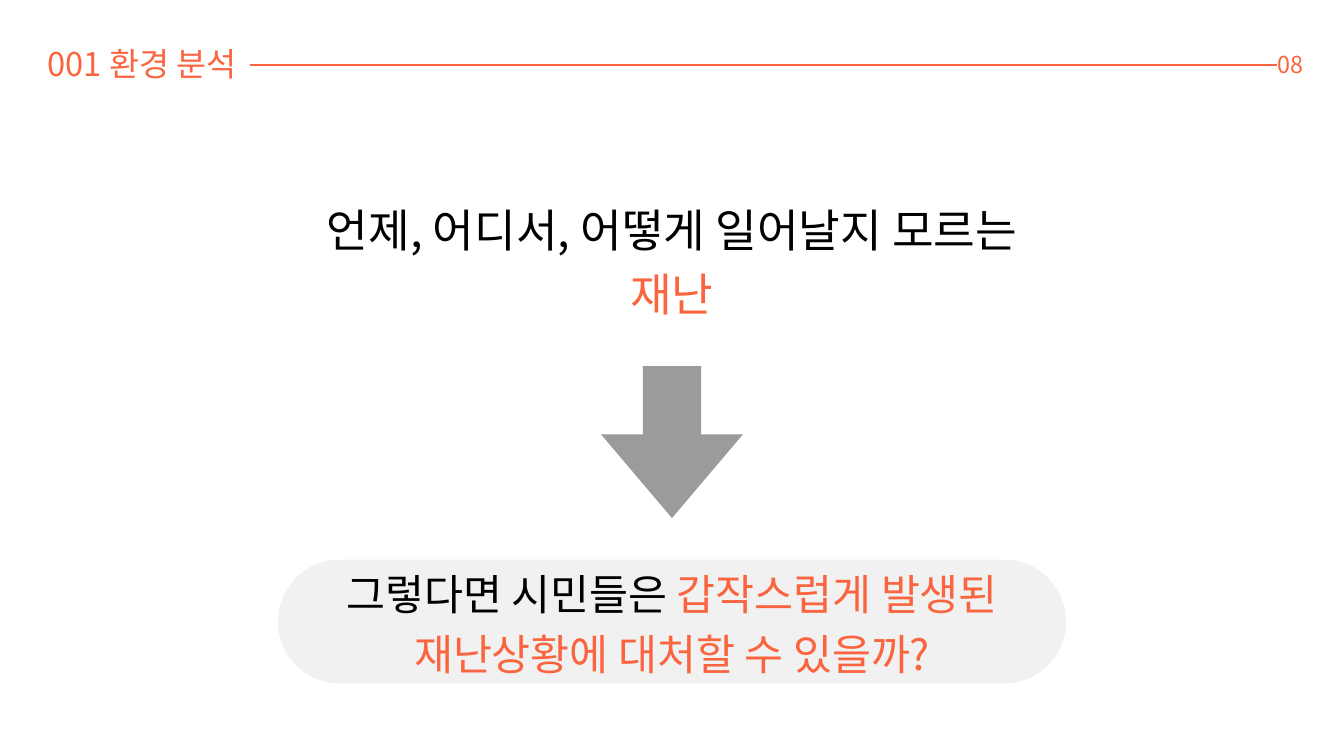
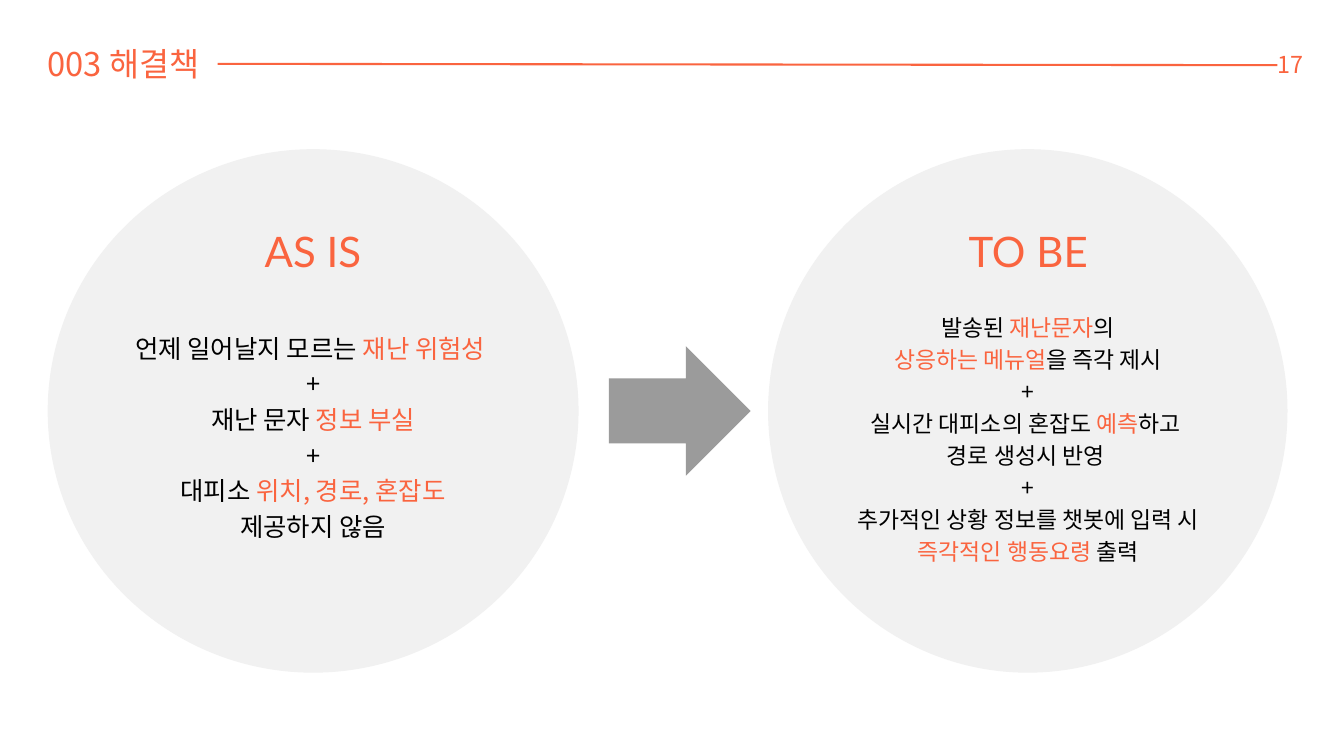
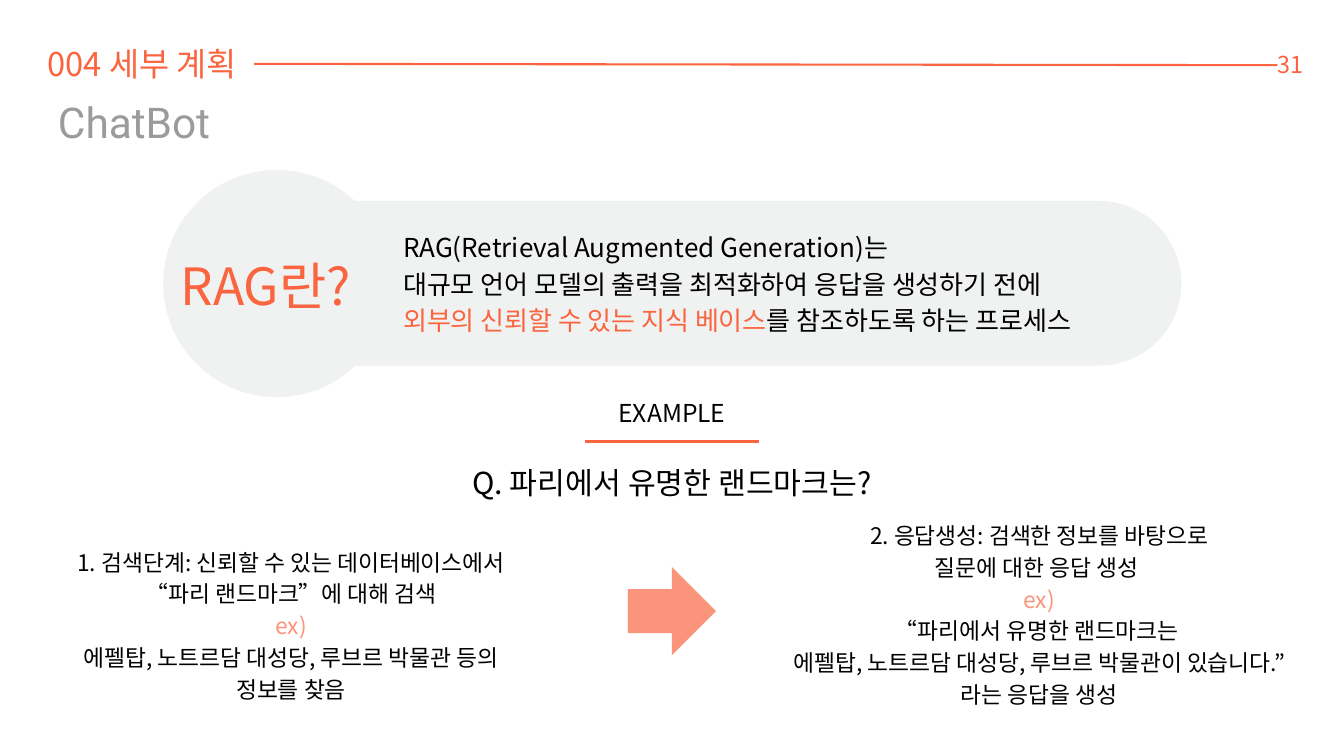
"""Builds three slides on a disaster-response chatbot: the problem, the solution and RAG."""
import dataclasses

import lxml.etree
import pptx
import pptx.dml.color
import pptx.enum.shapes
import pptx.enum.text
import pptx.oxml.ns
import pptx.util

SHAPE = pptx.enum.shapes.MSO_SHAPE
ALIGN = pptx.enum.text.PP_ALIGN


@dataclasses.dataclass(frozen=True)
class Theme:
    accent: str = "FA643F"
    soft_accent: str = "FA947A"
    ink: str = "000000"
    gray: str = "9B9B9B"
    panel: str = "F1F1F1"
    callout: str = "F0F1F1"
    korean: str = "Noto Sans CJK KR"
    body: str = "Calibri"
    heading: str = "Lato"
    label: str = "Roboto"
    title_size: float = 35
    page_size: float = 25
    statement_size: float = 48.5
    question_size: float = 45.4
    heading_size: float = 45
    as_is_size: float = 27.2
    to_be_size: float = 24.5
    term_size: float = 55
    definition_size: float = 27.9
    example_size: float = 26.4
    query_size: float = 32.4
    step_size: float = 24.4
    rule_width: float = 2.25
    tight_leading: float = 1.1
    leading: float = 1.4


THEME = Theme()
COLUMNS, ROWS, CELL = 80, 45, 0.25
MARGIN, PAGE_LEFT, RULE_TOP = 2.84, 76.04, 3.88


def grid(cells):
    return pptx.util.Inches(cells * CELL)


def centred(top, width, height):
    return (COLUMNS - width) / 2, top, width, height


def ink(text, face=THEME.body):
    return text, THEME.ink, face


def accent(text, face=THEME.body):
    return text, THEME.accent, face


def color(value):
    return pptx.dml.color.RGBColor.from_string(value)


def fill_text(shape, paragraphs, size, align, leading=THEME.leading):
    frame = shape.text_frame
    frame.word_wrap = True
    frame.auto_size = pptx.enum.text.MSO_AUTO_SIZE.NONE
    frame.vertical_anchor = pptx.enum.text.MSO_ANCHOR.TOP
    frame.margin_left = frame.margin_right = frame.margin_top = frame.margin_bottom = 0
    for index, runs in enumerate(paragraphs):
        paragraph = frame.add_paragraph() if index else frame.paragraphs[0]
        paragraph.alignment = align
        paragraph.line_spacing = pptx.util.Pt(round(size * leading, 1))
        paragraph.space_before = pptx.util.Pt(0)
        for text, value, face in runs:
            run = paragraph.add_run()
            run.text = text
            run.font.size = pptx.util.Pt(size)
            run.font.color.rgb = color(value)
            run.font.name = face
            east_asian = lxml.etree.SubElement(run.font._element, pptx.oxml.ns.qn("a:ea"))
            east_asian.set("typeface", THEME.korean)


def add_text(slide, box, paragraphs, size, align=ALIGN.CENTER, leading=THEME.leading):
    shape = slide.shapes.add_textbox(*map(grid, box))
    fill_text(shape, paragraphs, size, align, leading)


def add_panel(slide, kind, box, value, adjustments=()):
    shape = slide.shapes.add_shape(kind, *map(grid, box))
    shape.shadow.inherit = False
    shape.fill.solid()
    shape.fill.fore_color.rgb = color(value)
    shape.line.fill.background()
    for index, adjustment in enumerate(adjustments):
        shape.adjustments[index] = adjustment


def add_pill(slide, box, value):
    add_panel(slide, SHAPE.ROUNDED_RECTANGLE, box, value, [0.5])


def add_rule(slide, *ends):
    rule = slide.shapes.add_connector(pptx.enum.shapes.MSO_CONNECTOR.STRAIGHT, *map(grid, ends))
    rule.line.color.rgb = color(THEME.accent)
    rule.line.width = pptx.util.Pt(THEME.rule_width)
    lxml.etree.SubElement(rule._element.spPr, pptx.oxml.ns.qn("a:effectLst"))


def add_slide(presentation, title, title_width, page, rule_start=3.8):
    slide = presentation.slides.add_slide(presentation.slide_layouts[5])
    shape = slide.shapes.title
    shape.left, shape.top, shape.width, shape.height = map(grid, (MARGIN, 2.8, title_width, 2.2))
    fill_text(shape, [[accent(title, THEME.korean)]], THEME.title_size, ALIGN.LEFT,
              THEME.tight_leading)
    add_rule(slide, MARGIN + title_width, rule_start, PAGE_LEFT, RULE_TOP)
    add_text(slide, (PAGE_LEFT, 3.12, 2.48, 1.6), [[accent(page, THEME.korean)]],
             THEME.page_size, ALIGN.LEFT, THEME.tight_leading)
    return slide


def add_circle_state(slide, circle, heading_box, heading, text_box, paragraphs, size):
    add_panel(slide, SHAPE.OVAL, circle, THEME.panel)
    add_text(slide, heading_box, [[accent(heading, THEME.heading)]], THEME.heading_size)
    add_text(slide, text_box, paragraphs, size)


def build_environment(presentation):
    slide = add_slide(presentation, "001 환경 분석", 12.04, "08", RULE_TOP)
    add_text(slide, centred(11.52, 48.32, 7.36), [
        [ink("언제, 어디서, 어떻게 일어날지 모르는", THEME.korean)],
        [accent("재난")],
    ], THEME.statement_size)
    add_panel(slide, SHAPE.DOWN_ARROW, centred(21.8, 8.44, 9.04), THEME.gray, [0.41, 0.59])
    add_pill(slide, centred(33.32, 46.92, 7.36), THEME.panel)
    add_text(slide, centred(33.32, 40.6, 6.92), [
        [ink("그렇다면 시민들은 "),
         accent("갑작스럽게 발생된 재난상황에 대처할 수 있을까?", THEME.korean)],
    ], THEME.question_size)


def build_solution(presentation):
    slide = add_slide(presentation, "003 해결책", 10.12, "17")
    plus = [ink("+", THEME.korean)]
    add_circle_state(
        slide, (MARGIN, 8.88, 31.6, 31.16), (14.12, 12.92, 9, 3.32), "AS IS",
        (5.32, 19.52, 26.64, 16.6), [
            [ink("언제 일어날지 모르는 "), accent("재난 위험성 ")],
            plus,
            [ink("재난 문자 "), accent("정보 부실")],
            plus,
            [ink("대피소 "), accent("위치, 경로, 혼잡도", THEME.korean)],
            [ink("제공하지 않음", THEME.korean)],
        ], THEME.as_is_size)
    add_circle_state(
        slide, (45.72, 8.88, 30.92, 31.16), (56.76, 12.92, 8.88, 3.24), "TO BE",
        (49.24, 18.4, 23.92, 18.72), [
            [ink("발송된 "), accent("재난문자"), ink("의")],
            [accent("상응하는 메뉴얼"), ink("을 즉각 제시")],
            plus,
            [ink("실시간 대피소의 혼잡도 "), accent("예측"), ink("하고 ")],
            [ink("경로 생성시 반영 ")],
            plus,
            [ink("추가적인 상황 정보를 챗봇에 입력 시")],
            [accent("즉각적인 행동요령 "), ink("출력")],
        ], THEME.to_be_size)
    add_panel(slide, SHAPE.RIGHT_ARROW, (36.24, 20.6, 8.44, 7.72), THEME.gray, [0.5, 0.5])


def build_plan(presentation):
    slide = add_slide(presentation, "004 세부 계획", 12.28, "31")
    add_text(slide, (MARGIN, 5.2, 10.28, 3.84), [[("ChatBot", THEME.gray, THEME.label)]],
             THEME.question_size)
    add_panel(slide, SHAPE.OVAL, (9.72, 10.12, 13.52, 13.52), THEME.callout)
    add_pill(slide, (15.72, 11.96, 54.6, 9.8), THEME.callout)
    add_text(slide, (10.76, 14.52, 12.12, 4.2), [[accent("RAG란?", THEME.korean)]],
             THEME.term_size, ALIGN.JUSTIFY)
    add_text(slide, (24, 13.48, 41.96, 6.48), [
        [ink("RAG(Retrieval Augmented Generation)는 ", THEME.korean)],
        [ink("대규모 언어 모델의 출력을 최적화하여 응답을 생성하기 전에")],
        [accent("외부의 신뢰할 수 있는 지식 베이스"), ink("를 참조하도록 하는 프로세스")],
    ], THEME.definition_size, ALIGN.JUSTIFY)
    add_text(slide, centred(23.36, 7.36, 1.92), [[ink("EXAMPLE", THEME.korean)]],
             THEME.example_size)
    add_rule(slide, 34.84, 26.28, 45.16, 26.28)
    add_text(slide, centred(27.28, 25.4, 2.32),
             [[ink("Q. 파리에서 유명한 랜드마크는?", THEME.korean)]], THEME.query_size)
    example = [("ex)", THEME.soft_accent, THEME.korean)]
    add_text(slide, (3.76, 32.36, 27.12, 9.4), [
        [ink("1. 검색단계: 신뢰할 수 있는 데이터베이스에서", THEME.korean)],
        [ink("“파리 랜드마크”에 대해 검색", THEME.korean)],
        example,
        [ink("에펠탑, 노트르담 대성당, 루브르 박물관 등의 정보를 찾음", THEME.korean)],
    ], THEME.step_size)
    add_panel(slide, SHAPE.RIGHT_ARROW, centred(33.76, 5.24, 5.24), THEME.soft_accent, [0.5, 0.5])
    add_text(slide, (46.44, 30.76, 30.84, 11.24), [
        [ink("2. 응답생성: 검색한 정보를 바탕으로", THEME.korean)],
        [ink("질문에 대한 응답 생성 ")],
        example,
        [ink("“파리에서 유명한 랜드마크는 ", THEME.korean)],
        [ink("에펠탑, 노트르담 대성당, 루브르 박물관이 있습니다.”", THEME.korean)],
        [ink("라는 응답을 생성")],
    ], THEME.step_size)


def main():
    presentation = pptx.Presentation()
    presentation.slide_width, presentation.slide_height = grid(COLUMNS), grid(ROWS)
    build_environment(presentation)
    build_solution(presentation)
    build_plan(presentation)
    presentation.save("out.pptx")


if __name__ == "__main__":
    main()
